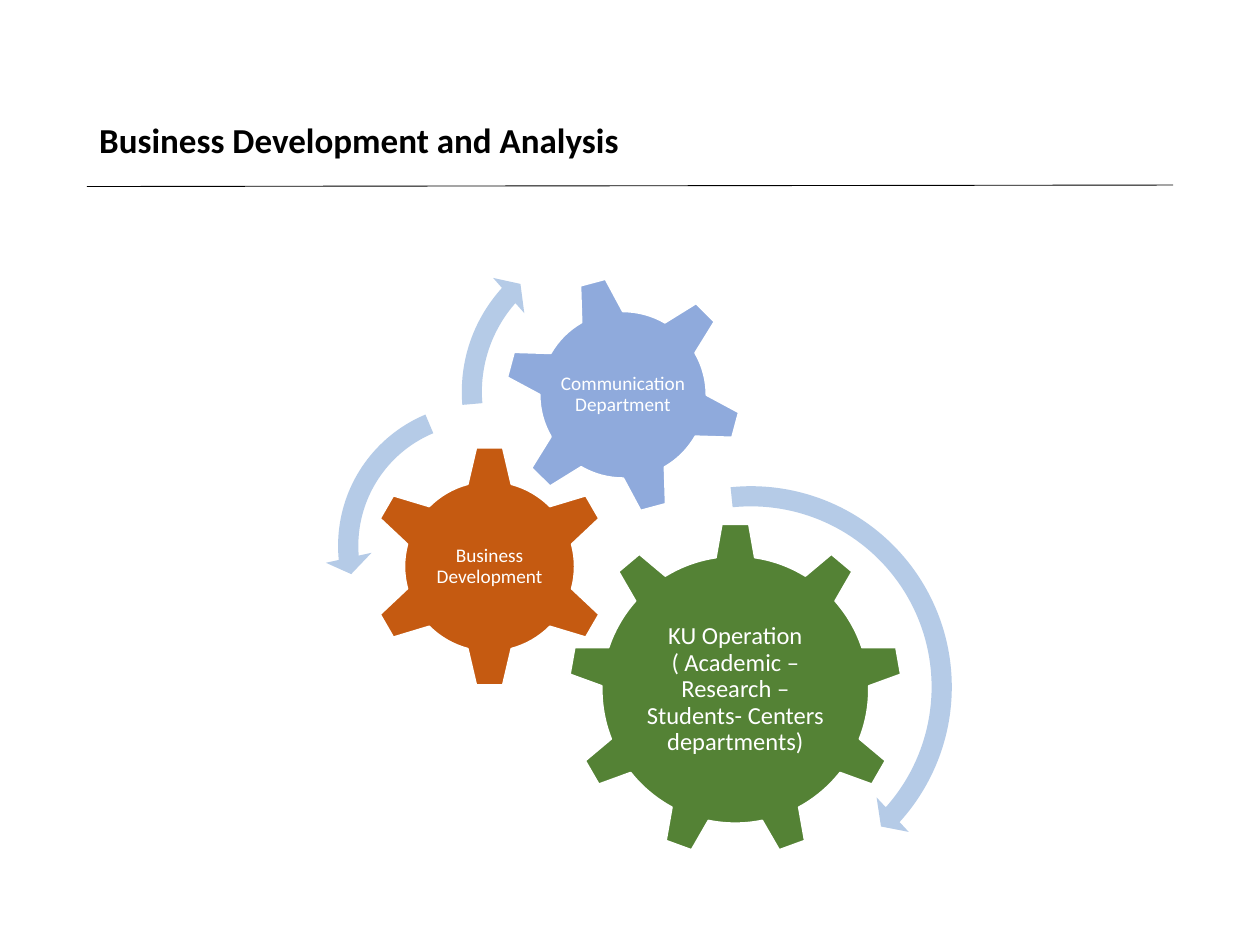
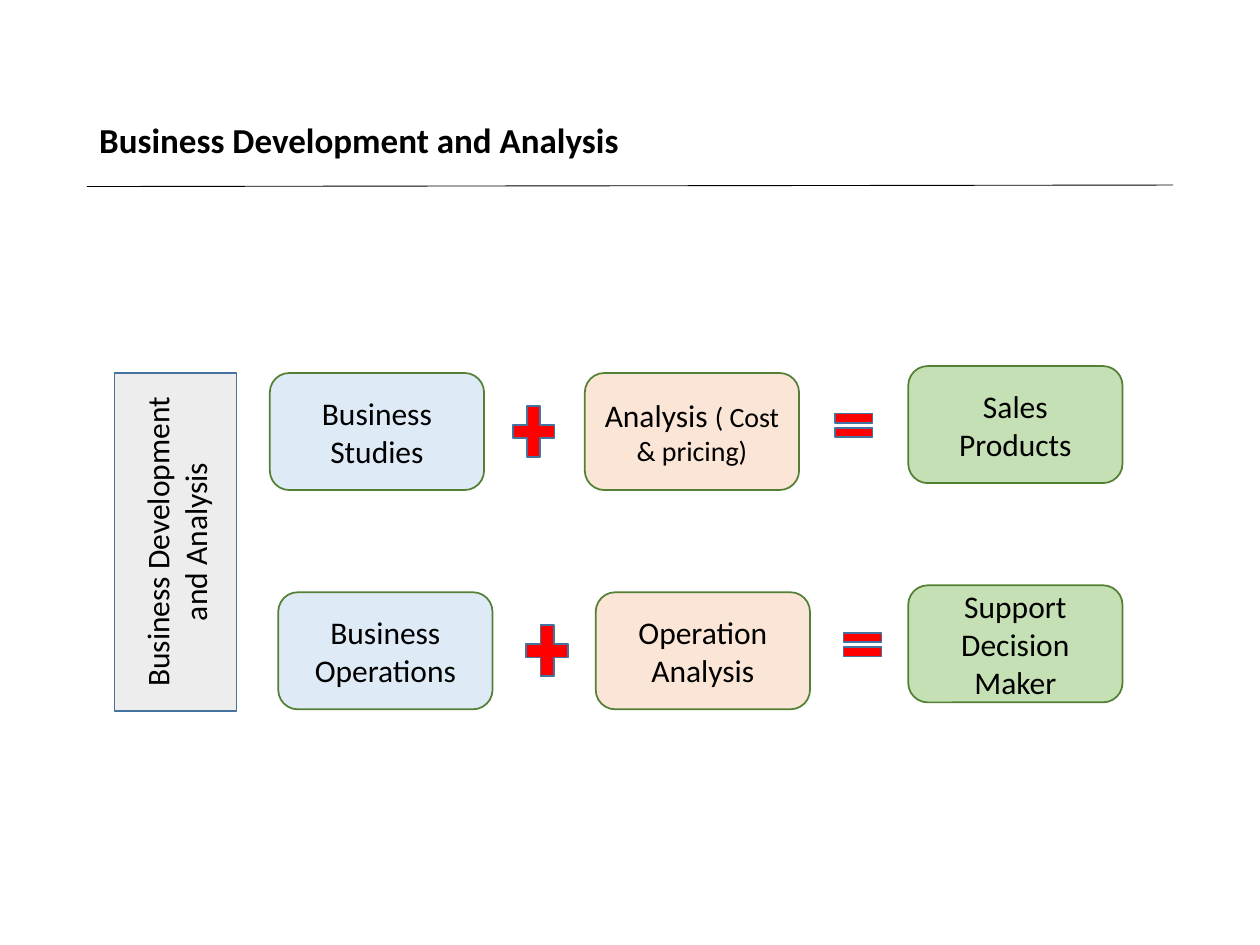
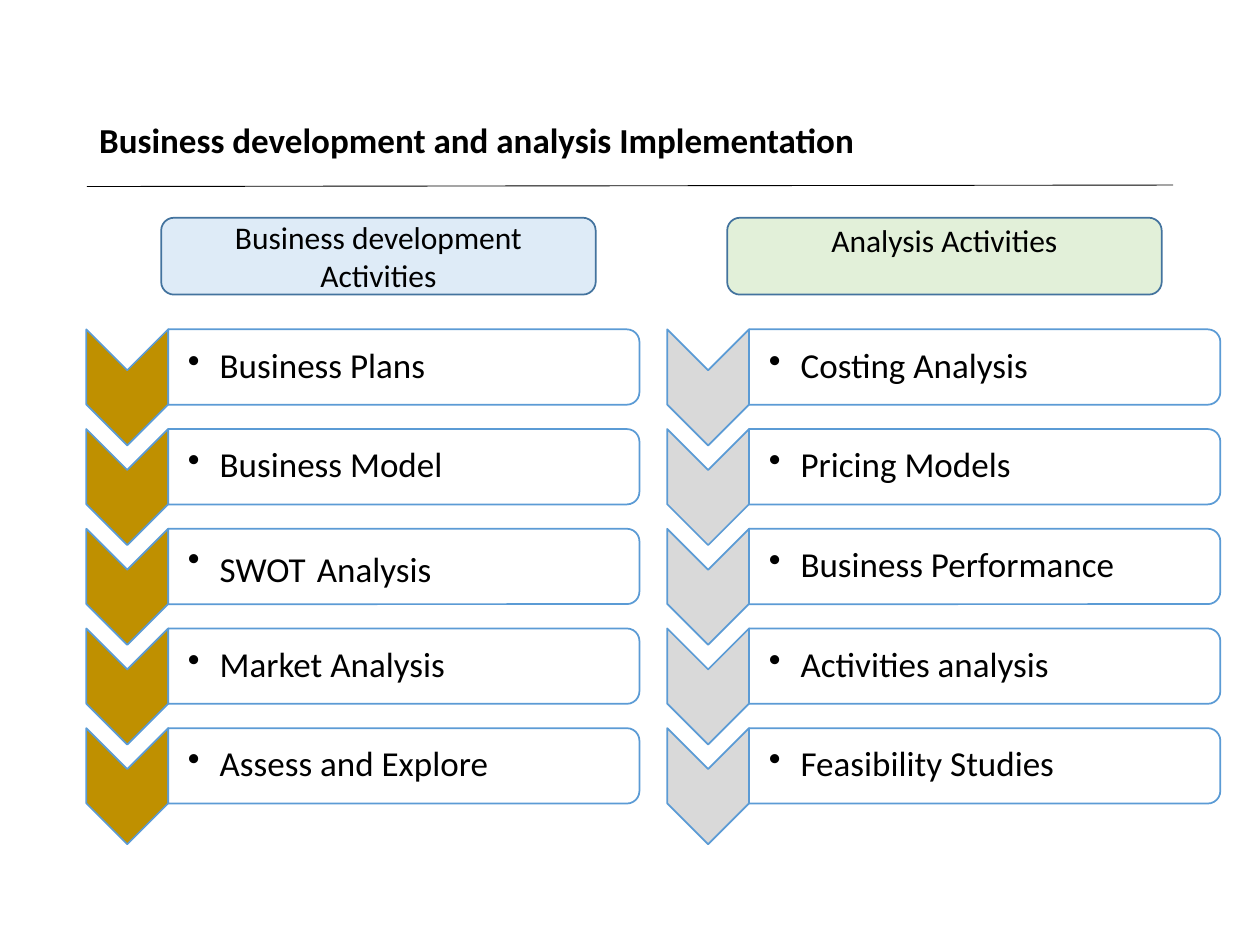
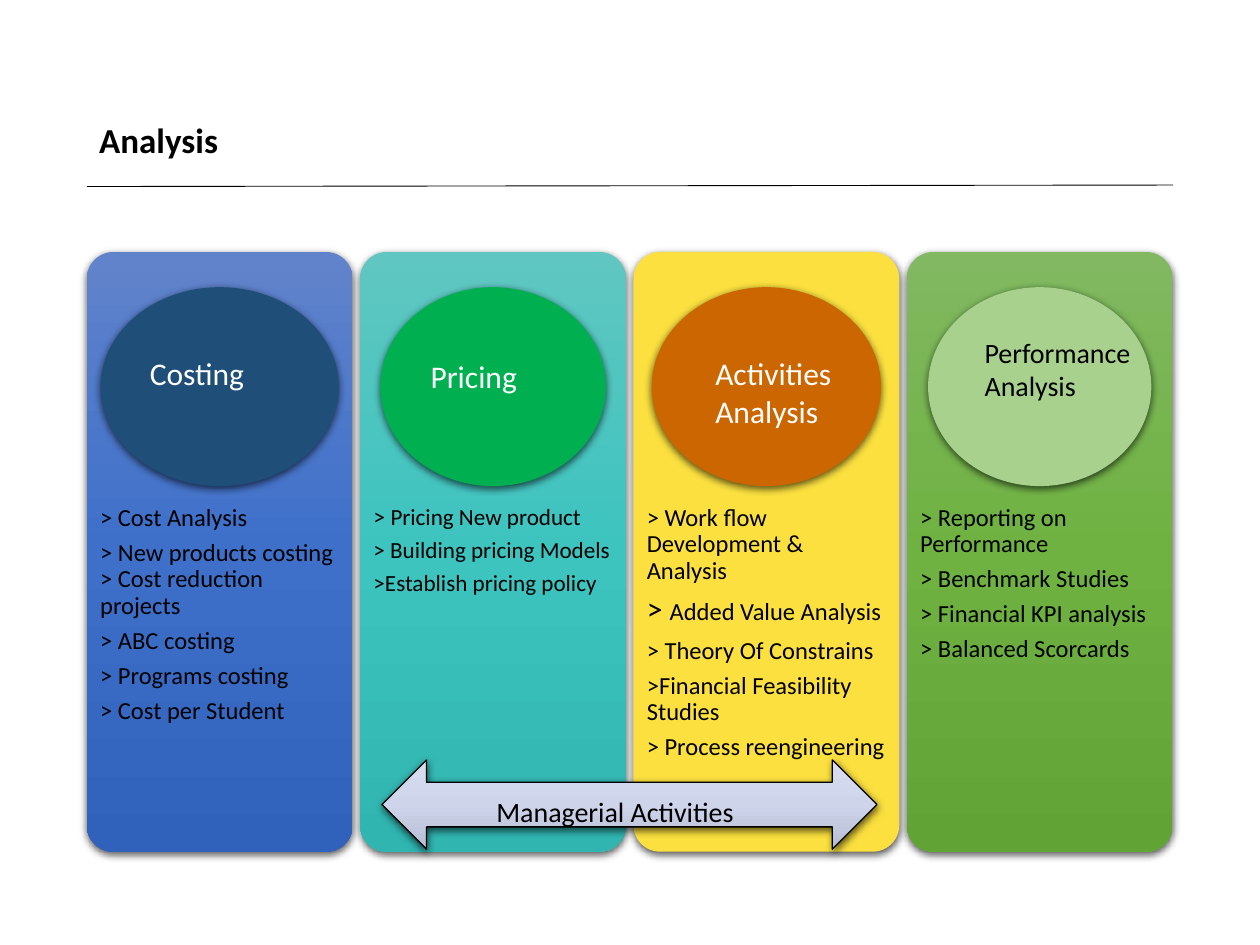
from lxml.etree import SubElement
from pptx import Presentation
from pptx.dml.color import RGBColor
from pptx.enum.shapes import MSO_CONNECTOR, MSO_SHAPE
from pptx.enum.text import MSO_ANCHOR, PP_ALIGN
from pptx.oxml.ns import qn
from pptx.util import Cm, Pt

STRAIGHT = MSO_CONNECTOR.STRAIGHT
GEAR_6, GEAR_9 = MSO_SHAPE.GEAR_6, MSO_SHAPE.GEAR_9
TURN_RIGHT, TURN_LEFT = MSO_SHAPE.CIRCULAR_ARROW, MSO_SHAPE.LEFT_CIRCULAR_ARROW
SOFT_BOX = MSO_SHAPE.FLOWCHART_ALTERNATE_PROCESS
PLUS, EQUAL = MSO_SHAPE.MATH_PLUS, MSO_SHAPE.MATH_EQUAL
RECTANGLE, ROUNDED = MSO_SHAPE.RECTANGLE, MSO_SHAPE.ROUNDED_RECTANGLE
CHEVRON, BAND = MSO_SHAPE.CHEVRON, MSO_SHAPE.ROUND_2_SAME_RECTANGLE
ELLIPSE, TWO_WAY_ARROW = MSO_SHAPE.OVAL, MSO_SHAPE.LEFT_RIGHT_ARROW
TOP, MIDDLE = MSO_ANCHOR.TOP, MSO_ANCHOR.MIDDLE
LEFT, CENTER = PP_ALIGN.LEFT, PP_ALIGN.CENTER

FONT = "Calibri"
COLORS = {
    "black": "000000", "white": "FFFFFF", "red": "FF0000",
    "gear green": "548235", "gear orange": "C55A11", "gear blue": "8FAADC",
    "turn arrow": "B5CBE7",
    "pale blue": "DEEBF7", "pale orange": "FBE5D6", "pale green": "C5E0B4",
    "mint": "E2F0D9", "pale grey": "EDEDED",
    "green line": "538035", "blue line": "43739E", "bright line": "5B9BD5",
    "gold": "BF9000", "grey": "D9D9D9",
    "navy": "1F4E79", "emerald": "00B050", "rust": "CC6600", "leaf": "A9D18E",
    "yellow": "FBE03F",
    "blue top": "6183CB", "blue middle": "3E70CA", "blue bottom": "3062BB",
    "teal top": "60C6C1", "teal middle": "3DC4BF", "teal bottom": "30B5B0",
    "green top": "81B861", "green middle": "6FB242", "green bottom": "62A336",
    "steel top": "D8DDEE", "steel middle": "CED5EB", "steel bottom": "B5BCD3",
}


# Shared helpers
def rgb(name):
    return RGBColor.from_string(COLORS[name])


def set_attributes(target, values):
    for name, value in values.items():
        setattr(target, name, value)


def fill_gradient(shape, shade):
    """Fill from top to bottom with the three tones of a shade."""
    shape.fill.gradient()
    shape.fill.gradient_angle = 270
    stops = shape.element.spPr.find(".//" + qn("a:gsLst"))
    stops.clear()
    for position, tone in ((0, "top"), (50, "middle"), (100, "bottom")):
        stop = SubElement(stops, qn("a:gs"), pos=str(position * 1000))
        SubElement(stop, qn("a:srgbClr"), val=COLORS[f"{shade} {tone}"])


def add_shadow(shape):
    effects = shape.element.spPr.find(qn("a:effectLst"))
    shadow = SubElement(effects, qn("a:outerShdw"), blurRad=str(Pt(4.5)),
                        dist=str(Pt(1.5)), dir="5400000", rotWithShape="0")
    color = SubElement(shadow, qn("a:srgbClr"), val=COLORS["black"])
    SubElement(color, qn("a:alpha"), val="63000")


def add_figure(slide, kind, box, fill, line=None, width=1, turn=0,
               adjustments=(), shadow=False):
    """Add a preset shape; a fill that is no single colour is a shade."""
    shape = slide.shapes.add_shape(kind, *map(Cm, box))
    shape.rotation = turn
    for index, value in enumerate(adjustments):
        shape.adjustments[index] = value
    if fill in COLORS:
        shape.fill.solid()
        shape.fill.fore_color.rgb = rgb(fill)
    else:
        fill_gradient(shape, fill)
    if line:
        shape.line.color.rgb = rgb(line)
        shape.line.width = Pt(width)
    else:
        shape.line.fill.background()
    shape.shadow.inherit = False
    if shadow:
        add_shadow(shape)
    return shape


def add_turned(slide, kind, box, fill, line):
    """Add a shape turned by 90 degrees that covers the box once turned."""
    left, top, width, height = box
    shift = (width - height) / 2
    unturned = (left + shift, top - shift, height, width)
    return add_figure(slide, kind, unturned, fill, line, turn=90)


def write_text(shape, paragraphs, size, color="black", bold=False, anchor=MIDDLE,
               align=CENTER, margins=(0.25, 0.13, 0.25, 0.13), spacing=1, after=0):
    """Write paragraphs, each a string or a list of (text, size) runs."""
    frame = shape.text_frame
    sides = ("margin_left", "margin_top", "margin_right", "margin_bottom")
    set_attributes(frame, {"word_wrap": True, "vertical_anchor": anchor,
                           **dict(zip(sides, map(Cm, margins)))})
    for index, content in enumerate(paragraphs):
        paragraph = frame.add_paragraph() if index else frame.paragraphs[0]
        runs = [(content, size)] if isinstance(content, str) else content
        set_attributes(paragraph, {"alignment": align, "line_spacing": spacing,
                                   "space_after": Pt(after * runs[0][1])})
        for text, run_size in runs:
            run = paragraph.add_run()
            run.text = text
            set_attributes(run.font, {"name": FONT, "size": Pt(run_size), "bold": bold})
            run.font.color.rgb = rgb(color)


def add_label(slide, box, paragraphs, size, **text_format):
    label = slide.shapes.add_textbox(*map(Cm, box))
    write_text(label, paragraphs, size, **text_format)
    return label


def add_titled_slide(presentation, title):
    slide = presentation.slides.add_slide(presentation.slide_layouts[6])
    rule = slide.shapes.add_connector(STRAIGHT, Cm(1.75), Cm(3.76), Cm(23.65), Cm(3.73))
    set_attributes(rule.line, {"width": Pt(0.5)})
    rule.line.color.rgb = rgb("black")
    SubElement(rule.element.spPr, qn("a:effectLst"))
    add_label(slide, (1.75, 1.02, 21.9, 3.68), [title], 20,
              bold=True, align=LEFT, spacing=0.9)
    return slide


# Slide 1: gears and the arrows that turn them
GEARS = [
    # kind, left, top, side, turn, colour, label width, label height, size, text
    (GEAR_9, 4.91, 6.02, 6.73, 0, "gear green", 4.04, 3.45, 14,
     ["KU Operation", "( Academic – Research – Students- Centers departments)"]),
    (GEAR_6, 0.87, 4.45, 4.9, 0, "gear orange", 2.44, 2.4, 11,
     ["Business Development"]),
    (GEAR_6, 3.61, 1.04, 4.8, 345, "gear blue", 2.7, 2.7, 11,
     ["Communication Department"]),
]
TURN_ARROWS = [
    (TURN_RIGHT, 4.27, 5.01, 8.64, (0.047, 2.99, 25.212, 158.506, 0.055)),
    (TURN_LEFT, 0, 3.35, 6.27, (0.065, 4.3, 104.891, 148.378, 0.075)),
    (TURN_RIGHT, 2.49, 0, 6.76, (0.06, 3.941, 133.138, 105.082, 0.07)),
]


def draw_gears(slide, left, top):
    for kind, x, y, side, turn, color, width, height, size, text in GEARS:
        add_figure(slide, kind, (left + x, top + y, side, side), color, "white", turn=turn)
        label_box = (left + x + (side - width) / 2, top + y + (side - height) / 2,
                     width, height)
        add_label(slide, label_box, text, size, color="white",
                  margins=(0.05,) * 4, spacing=0.9)
    for kind, x, y, side, adjustments in TURN_ARROWS:
        add_figure(slide, kind, (left + x, top + y, side, side), "turn arrow",
                   adjustments=adjustments)


# Slide 2: two sums, each with two terms and a result
SUM_PARTS = [
    # kind, drop, width, height, fill, line
    (SOFT_BOX, 0, 4.32, 2.36, "pale blue", "green line"),
    (PLUS, 0.48, 1.14, 1.4, "red", "blue line"),
    (SOFT_BOX, 0, 4.32, 2.36, "pale orange", "green line"),
    (EQUAL, 0.65, 1.04, 0.81, "red", "blue line"),
    (SOFT_BOX, -0.14, 4.32, 2.36, "pale green", "green line"),
]
SUMS = [
    # left, top, offsets of the parts, texts of the parts
    (5.44, 7.52, (0, 4.75, 6.35, 11.25, 12.87),
     ("Business Studies", None, [("Analysis ", 18), ("( Cost & pricing)", 16)],
      None, "Sales Products")),
    (5.61, 11.94, (0, 4.85, 6.4, 11.26, 12.7),
     ("Business Operations", None, "Operation Analysis",
      None, "Support Decision Maker")),
]


def draw_sum(slide, left, top, offsets, texts):
    for part, offset, text in zip(SUM_PARTS, offsets, texts):
        kind, drop, width, height, fill, line = part
        shape = add_figure(slide, kind, (left + offset, top + drop, width, height),
                           fill, line)
        if text:
            write_text(shape, [text], 18)


def draw_side_heading(slide, box, text):
    heading = add_figure(slide, RECTANGLE, box, "pale grey", "blue line")
    write_text(heading, [text], 18)
    heading.text_frame._txBody.bodyPr.set("vert", "vert270")


# Slide 3: two columns of steps
def draw_heading(slide, box, text, fill, **text_format):
    heading = add_figure(slide, ROUNDED, box, fill, "blue line")
    write_text(heading, [text], 18, **text_format)


def draw_steps(slide, left, top, color, steps):
    pitch = 2.01
    for index, step in enumerate(steps):
        y = top + index * pitch
        add_turned(slide, CHEVRON, (left, y, 1.65, 2.34), color, "bright line")
        add_turned(slide, BAND, (left + 1.65, y, 9.5, 1.52), "white", "bright line")
        label = add_label(slide, (left + 1.64, y + 0.07, 9.45, 1.37), [step], 20,
                          align=LEFT, margins=(0.41, 0.03, 0.03, 0.03), spacing=0.9)
        # Bullet with a hanging indent
        properties = label.text_frame.paragraphs[0]._p.get_or_add_pPr()
        properties.set("marL", str(Cm(0.64)))
        properties.set("indent", str(Cm(-0.64)))
        SubElement(properties, qn("a:buChar"), char="•")


# Slide 4: four panels and the arrow between the middle ones
PANELS = [
    # panel fill, ellipse fill, ellipse width, label box, label, size, colour, size of items, items
    ("blue", "navy", 4.8, (1.02, 1.93, 3.1, 1.02), "Costing", 18, "white", 14,
     ["> Cost Analysis", "> New products costing > Cost reduction projects",
      "> ABC costing", "> Programs costing", "> Cost per Student"]),
    ("teal", "emerald", 4.55, (1.17, 1.98, 3.18, 1.02), "Pricing", 18, "white", 13.2,
     [[("> ", 13.5), ("Pricing New product", 13.2)],
      "> Building pricing Models", ">Establish pricing policy"]),
    ("yellow", "rust", 4.62, (1.4, 1.93, 2.84, 1.8), "Activities Analysis", 18, "white", 14,
     ["> Work flow Development & Analysis",
      [("> ", 18), ("Added Value Analysis", 14)], "> Theory Of Constrains",
      ">Financial Feasibility Studies", "> Process reengineering"]),
    ("green", "leaf", 4.5, (1.32, 1.55, 3.51, 1.63), "Performance Analysis", 16, "black", 14,
     ["> Reporting on Performance", "> Benchmark Studies",
      "> Financial KPI analysis", "> Balanced Scorcards"]),
]


def draw_panel(slide, left, top, panel):
    fill, ellipse_fill, ellipse_width, label_box, label, size, color, item_size, items = panel
    width = 5.36
    add_figure(slide, ROUNDED, (left, top, width, 12.09), fill,
               adjustments=(0.1,), shadow=True)
    add_label(slide, (left, top + 4.83, width, 4.83), items, item_size, anchor=TOP,
              align=LEFT, margins=(0.27,) * 4, spacing=0.9, after=0.35)
    add_figure(slide, ELLIPSE, (left + (width - ellipse_width) / 2, top + 0.71,
                                ellipse_width, 4.01), ellipse_fill, shadow=True)
    x, y, label_width, label_height = label_box
    add_label(slide, (left + x, top + y, label_width, label_height), [label], size,
              color=color, anchor=TOP, align=LEFT)


def draw_two_way_arrow(slide, left, top, text):
    add_figure(slide, TWO_WAY_ARROW, (left, top, 9.98, 1.8), "steel", "black",
               width=0.75, shadow=True)
    add_label(slide, (left + 1.5, top + 0.56, 6.4, 0.94), [text], 16, anchor=TOP)


def main():
    presentation = Presentation()
    set_attributes(presentation, {"slide_width": Cm(25.4), "slide_height": Cm(19.05)})

    slide = add_titled_slide(presentation, "Business Development and Analysis")
    draw_gears(slide, 6.55, 4.52)

    slide = add_titled_slide(presentation, "Business Development and Analysis")
    for left, top, offsets, texts in SUMS:
        draw_sum(slide, left, top, offsets, texts)
    draw_side_heading(slide, (2.31, 7.52, 2.46, 6.81), "Business Development and Analysis")

    slide = add_titled_slide(presentation, "Business development and analysis Implementation")
    draw_steps(slide, 1.74, 6.64, "gold", [
        "Business Plans", "Business Model",
        [("SWOT", 20), (" ", 28), ("Analysis", 20)],
        "Market Analysis", "Assess and Explore"])
    draw_steps(slide, 13.45, 6.64, "grey", [
        "Costing Analysis", "Pricing Models", "Business Performance",
        "Activities analysis", "Feasibility Studies"])
    draw_heading(slide, (3.25, 4.39, 8.76, 1.55), "Business development Activities", "pale blue")
    draw_heading(slide, (14.66, 4.39, 8.76, 1.55), "Analysis Activities", "mint",
                 anchor=TOP, margins=(0.25, 0, 0.25, 0))

    slide = add_titled_slide(presentation, "Analysis")
    for index, panel in enumerate(PANELS):
        draw_panel(slide, 1.75 + index * 5.51, 5.08, panel)
    draw_two_way_arrow(slide, 7.7, 15.32, "Managerial Activities")

    presentation.save("out.pptx")


if __name__ == "__main__":
    main()
